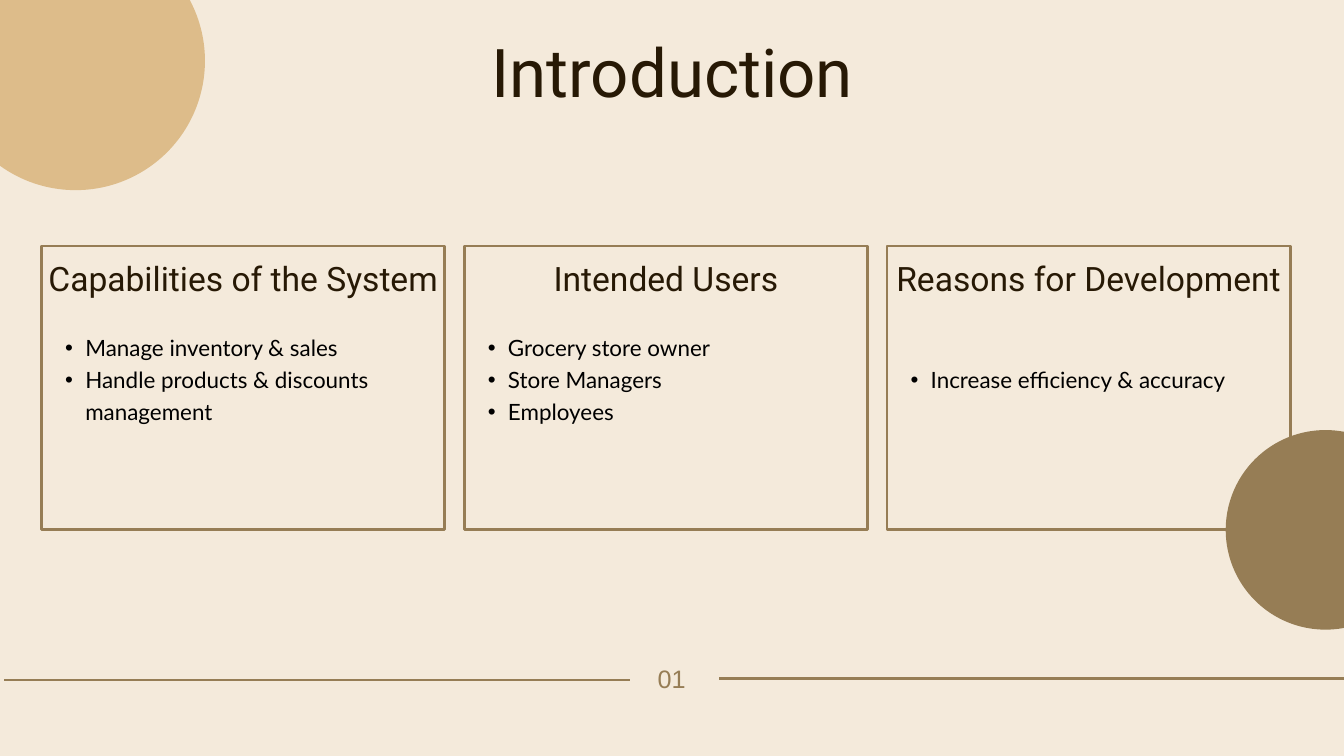
import lxml.etree
import pptx
import pptx.dml.color
import pptx.enum.shapes
import pptx.enum.text
import pptx.oxml.ns
import pptx.util

RGBColor = pptx.dml.color.RGBColor
CREAM = RGBColor(0xF4, 0xEA, 0xDB)
BRONZE = RGBColor(0x96, 0x7D, 0x55)
SAND = RGBColor(0xDD, 0xBC, 0x8A)
ESPRESSO = RGBColor(0x27, 0x19, 0x05)
BLACK = RGBColor(0, 0, 0)

WIDTH, HEIGHT = 20, 11.25
CARD_LEFT, CARD_TOP, CARD_WIDTH, CARD_HEIGHT, CARD_GAP = 0.62, 3.66, 6, 4.22, 0.29
ROW_HEIGHT, BODY_INSET = 0.47, 0.06

CARDS = [
    ("Capabilities of the System",
     ["Manage inventory & sales", "Handle products & discounts management"], 3),
    ("Intended Users", ["Grocery store owner", "Store Managers", "Employees"], 3),
    ("Reasons for Development", ["Increase efficiency & accuracy"], 1),
]


def inches(*lengths):
    """Convert lengths in inches to a list of EMU lengths."""
    return [pptx.util.Inches(length) for length in lengths]


def prepare_frame(shape, inset=0, anchor=pptx.enum.text.MSO_ANCHOR.TOP):
    """Set wrapping, insets and anchor, and return the text frame."""
    frame = shape.text_frame
    frame.word_wrap = True
    frame.auto_size = pptx.enum.text.MSO_AUTO_SIZE.NONE
    frame.vertical_anchor = anchor
    frame.margin_left = frame.margin_right = pptx.util.Inches(inset)
    frame.margin_top = frame.margin_bottom = pptx.util.Inches(inset)
    return frame


def write_paragraph(paragraph, text, font_name, size, color, spacing, alignment):
    """Fill a paragraph with one formatted run."""
    paragraph.alignment = alignment
    paragraph.line_spacing = pptx.util.Pt(spacing)
    paragraph.space_before = paragraph.space_after = pptx.util.Pt(0)
    run = paragraph.add_run()
    run.text = text
    run.font.name = font_name
    run.font.size = pptx.util.Pt(size)
    run.font.color.rgb = color


def write_centered(shape, text, font_name, size, color, spacing):
    """Write a single centred line in a shape."""
    write_paragraph(prepare_frame(shape).paragraphs[0], text, font_name, size, color,
                    spacing, pptx.enum.text.PP_ALIGN.CENTER)


def add_bullet(paragraph):
    """Give a paragraph a round bullet with a hanging indent."""
    paragraph.level = 1
    properties = paragraph._p.get_or_add_pPr()
    properties.set("marL", str(pptx.util.Inches(0.59)))
    properties.set("indent", str(pptx.util.Inches(-0.3)))
    font = lxml.etree.SubElement(properties, pptx.oxml.ns.qn("a:buFont"))
    font.set("typeface", "Arial")
    bullet = lxml.etree.SubElement(properties, pptx.oxml.ns.qn("a:buChar"))
    bullet.set("char", "•")


def add_circle(slide, left, top, diameter, color):
    """Add a plain filled circle."""
    circle = slide.shapes.add_shape(pptx.enum.shapes.MSO_SHAPE.OVAL,
                                    *inches(left, top, diameter, diameter))
    circle.shadow.inherit = False
    circle.fill.solid()
    circle.fill.fore_color.rgb = color
    circle.line.fill.background()


def add_rule(slide, start, end, top):
    """Add a horizontal footer line."""
    rule = slide.shapes.add_connector(pptx.enum.shapes.MSO_CONNECTOR.STRAIGHT,
                                      *inches(start, top, end, top))
    rule.line.color.rgb = BRONZE
    rule.line.width = pptx.util.Pt(3)
    lxml.etree.SubElement(rule._element.spPr, pptx.oxml.ns.qn("a:effectLst"))


def add_footer(slide, page_number):
    """Add the page number between two rules."""
    add_rule(slide, 10.7, WIDTH, 10.1)
    number = slide.shapes.add_textbox(*inches(9.07, 9.95, 1.85, 0.39))
    write_centered(number, page_number, "Arial", 27, BRONZE, 27)
    add_rule(slide, 0.06, 9.37, 10.12)


def add_title(slide, text, left, top, width, height):
    """Place and fill the title placeholder."""
    title = slide.shapes.title
    title.left, title.top, title.width, title.height = inches(left, top, width, height)
    write_centered(title, text, "Roboto", 72, ESPRESSO, 86)


def add_card(slide, left, top, width, height, heading, items, rows):
    """Add an outlined card with a heading and a bulleted list."""
    border = slide.shapes.add_shape(pptx.enum.shapes.MSO_SHAPE.RECTANGLE,
                                    *inches(left, top, width, height))
    border.shadow.inherit = False
    border.fill.background()
    border.line.color.rgb = BRONZE
    border.line.width = pptx.util.Pt(3)

    body_height = rows * ROW_HEIGHT + 2 * BODY_INSET
    body_top = top + height * 0.463 - body_height / 2
    body = slide.shapes.add_textbox(*inches(left, body_top, width, body_height))
    frame = prepare_frame(body, BODY_INSET, pptx.enum.text.MSO_ANCHOR.MIDDLE)
    for index, item in enumerate(items):
        paragraph = frame.add_paragraph() if index else frame.paragraphs[0]
        write_paragraph(paragraph, item, "Lato", 24, BLACK, 34,
                        pptx.enum.text.PP_ALIGN.LEFT)
        add_bullet(paragraph)

    label = slide.shapes.add_textbox(*inches(left, top + 0.28, width, 0.51))
    write_centered(label, heading, "Roboto", 36, ESPRESSO, 36)


def main():
    """Build the introduction slide and save it."""
    presentation = pptx.Presentation()
    presentation.slide_width, presentation.slide_height = inches(WIDTH, HEIGHT)
    slide = presentation.slides.add_slide(presentation.slide_layouts[5])
    slide.background.fill.solid()
    slide.background.fill.fore_color.rgb = CREAM

    add_footer(slide, "01")
    add_circle(slide, 18.24, 6.4, 2.97, BRONZE)
    add_circle(slide, -0.8, -1.02, 3.85, SAND)
    add_title(slide, "Introduction", 4.72, 0.45, 10.57, 1.19)
    for column, (heading, items, rows) in enumerate(CARDS):
        left = CARD_LEFT + column * (CARD_WIDTH + CARD_GAP)
        add_card(slide, left, CARD_TOP, CARD_WIDTH, CARD_HEIGHT, heading, items, rows)

    presentation.save("out.pptx")


if __name__ == "__main__":
    main()
